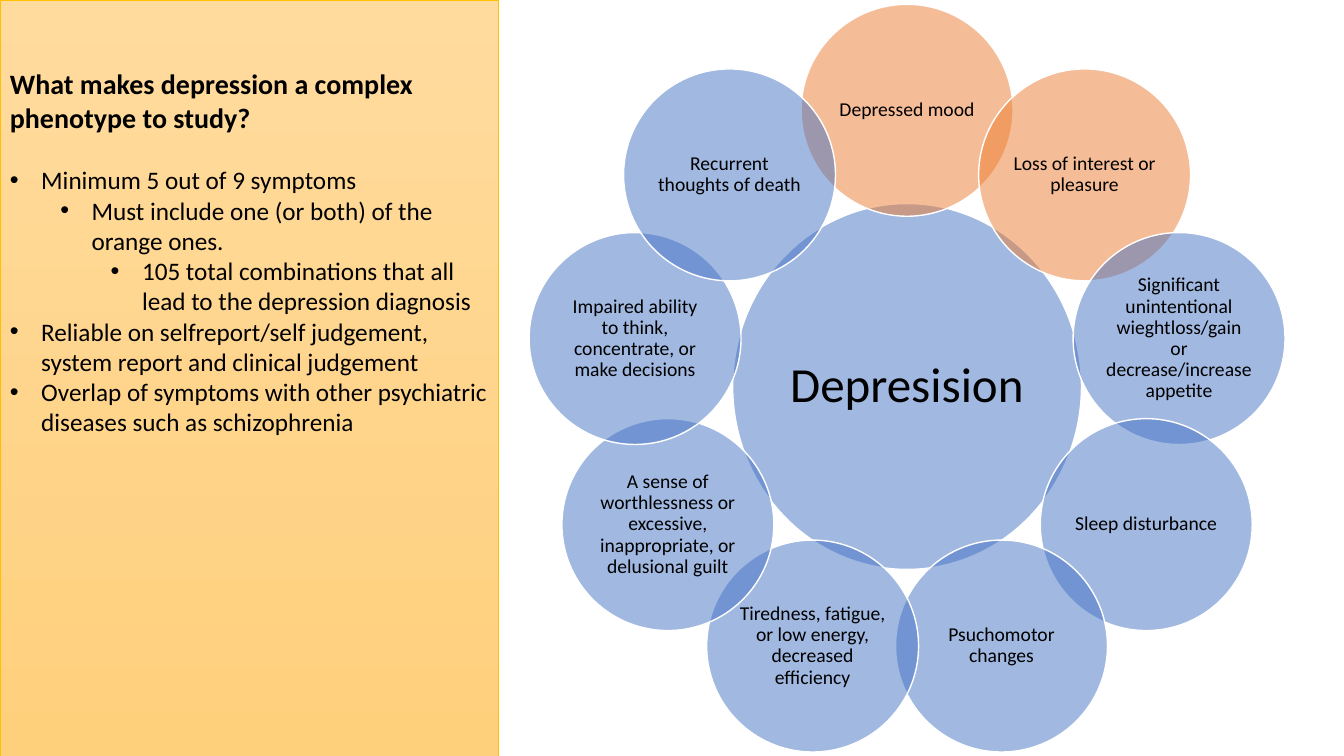
import math

import pptx
import pptx.dml.color
import pptx.enum.shapes
import pptx.enum.text
import pptx.util
from lxml import etree
from pptx.oxml import ns
from pptx.util import Cm, Pt

FONT = "Calibri"
BLACK, WHITE, BLUE, ORANGE = "000000", "FFFFFF", "4472C4", "ED7D31"
PANEL_TOP, PANEL_BOTTOM, PANEL_LINE = "FFDB9E", "FFD07C", "FFC000"

TITLE = "What makes depression a complex phenotype to study?"
BULLETS = [  # level, text
    (0, "Minimum 5 out of 9 symptoms"),
    (1, "Must include one (or both) of the orange ones."),
    (2, "105 total combinations that all lead to the depression diagnosis"),
    (0, "Reliable on selfreport/self judgement, system report and clinical judgement"),
    (0, "Overlap of symptoms with other psychiatric diseases such as schizophrenia"),
]
HUB = "Depresision"
SYMPTOMS = [  # clockwise from the top
    ("Depressed mood", ORANGE),
    ("Loss of interest or pleasure", ORANGE),
    ("Significant unintentional wieghtloss/gain or decrease/increase appetite", BLUE),
    ("Sleep disturbance", BLUE),
    ("Psuchomotor changes", BLUE),
    ("Tiredness, fatigue, or low energy, decreased efficiency", BLUE),
    ("A sense of worthlessness or excessive, inappropriate, or delusional guilt", BLUE),
    ("Impaired ability to think, concentrate, or make decisions", BLUE),
    ("Recurrent thoughts of death", BLUE),
]

PAGE_WIDTH, PAGE_HEIGHT, PANEL_WIDTH = 33.87, 19.05, 12.55
CENTER_X, CENTER_Y, RING_RADIUS = 22.86, 9.74, 6.96
HUB_WIDTH, HUB_HEIGHT, SYMPTOM_SIZE = 8.79, 9.22, 5.34
BULLET_INDENT, LEVEL_STEP = 0.79, 1.27


def rgb(code):
    return pptx.dml.color.RGBColor.from_string(code)


def set_font(para, size, bold=False):
    para.font.name = FONT
    para.font.size = Pt(size)
    para.font.bold = bold
    para.font.color.rgb = rgb(BLACK)


def set_insets(frame, inset):
    frame.margin_left = frame.margin_right = Cm(inset)
    frame.margin_top = frame.margin_bottom = Cm(inset)


def add_bubble(page, text, color, x, y, width, height, size, inset):
    """Add a half-transparent ellipse centred on x, y."""
    bubble = page.shapes.add_shape(
        pptx.enum.shapes.MSO_SHAPE.OVAL,
        Cm(x - width / 2), Cm(y - height / 2), Cm(width), Cm(height))
    bubble.shadow.inherit = False
    bubble.fill.solid()
    bubble.fill.fore_color.rgb = rgb(color)
    color_node = bubble.fill._xPr.find(".//" + ns.qn("a:srgbClr"))
    etree.SubElement(color_node, ns.qn("a:alpha"), val="50000")
    bubble.line.color.rgb = rgb(WHITE)
    bubble.line.width = Pt(1)
    frame = bubble.text_frame
    frame.word_wrap = True
    frame.vertical_anchor = pptx.enum.text.MSO_ANCHOR.MIDDLE
    set_insets(frame, inset)
    para = frame.paragraphs[0]
    para.text = text
    para.alignment = pptx.enum.text.PP_ALIGN.CENTER
    para.line_spacing = 0.9
    set_font(para, size)


def add_bullet(para, level):
    para.level = level
    props = para._p.get_or_add_pPr()
    props.set("marL", str(Cm(BULLET_INDENT + level * LEVEL_STEP)))
    props.set("indent", str(-Cm(BULLET_INDENT)))
    etree.SubElement(props, ns.qn("a:buFont"), typeface="Arial")
    etree.SubElement(props, ns.qn("a:buChar"), char="•")


def add_panel(page):
    panel = page.shapes.add_shape(
        pptx.enum.shapes.MSO_SHAPE.RECTANGLE, 0, 0, Cm(PANEL_WIDTH), Cm(PAGE_HEIGHT))
    panel.shadow.inherit = False
    panel.fill.gradient()
    panel.fill.gradient_angle = 270
    for stop, color in zip(panel.fill.gradient_stops, (PANEL_TOP, PANEL_BOTTOM)):
        stop.color.rgb = rgb(color)
    panel.line.color.rgb = rgb(PANEL_LINE)
    panel.line.width = Pt(0.5)
    frame = panel.text_frame
    frame.word_wrap = True
    frame.vertical_anchor = pptx.enum.text.MSO_ANCHOR.TOP
    set_insets(frame, 0.25)
    frame.margin_top = Cm(1.68)
    heading = frame.paragraphs[0]
    heading.text = TITLE
    heading.alignment = pptx.enum.text.PP_ALIGN.LEFT
    heading.space_after = Pt(22)
    set_font(heading, 20, bold=True)
    for level, text in BULLETS:
        para = frame.add_paragraph()
        para.text = text
        para.alignment = pptx.enum.text.PP_ALIGN.LEFT
        add_bullet(para, level)
        set_font(para, 18)


def main():
    deck = pptx.Presentation()
    deck.slide_width, deck.slide_height = Cm(PAGE_WIDTH), Cm(PAGE_HEIGHT)
    page = deck.slides.add_slide(deck.slide_layouts[6])
    add_bubble(page, HUB, BLUE, CENTER_X, CENTER_Y, HUB_WIDTH, HUB_HEIGHT, 35, 0.12)
    for index, (text, color) in enumerate(SYMPTOMS):
        angle = index * math.tau / len(SYMPTOMS)
        x = CENTER_X + RING_RADIUS * math.sin(angle)
        y = CENTER_Y - RING_RADIUS * math.cos(angle)
        add_bubble(page, text, color, x, y, SYMPTOM_SIZE, SYMPTOM_SIZE, 14, 0.05)
    add_panel(page)
    deck.save("out.pptx")


if __name__ == "__main__":
    main()
